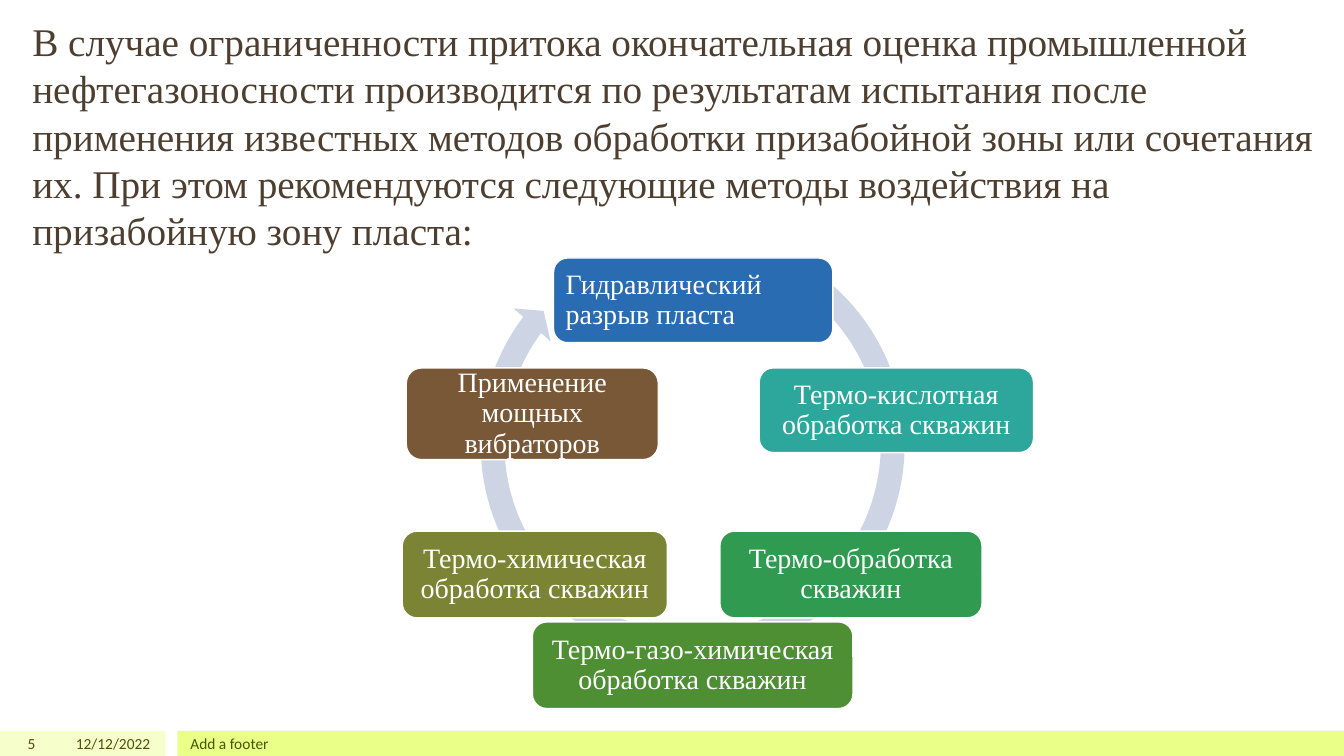
from pptx import Presentation
from pptx.dml.color import RGBColor
from pptx.enum.shapes import MSO_SHAPE as Shape
from pptx.enum.text import MSO_ANCHOR as Anchor, MSO_AUTO_SIZE as AutoSize, PP_ALIGN as Align
from pptx.util import Inches, Pt

COLORS = {
    "title": "4D3E2F", "footer_text": "455500", "white": "FFFFFF",
    "footer_light": "F6FFCC", "footer_bright": "E9FF88", "ring": "CDD4E4",
    "blue": "2A6CB2", "teal": "2DA69B", "green": "309A51",
    "leaf": "4E8F33", "olive": "7B8435", "brown": "795837",
}
SERIF, SANS = "Times New Roman", "Calibri"

TITLE = (
    "В случае ограниченности притока окончательная оценка промышленной "
    "нефтегазоносности производится по результатам испытания после применения "
    "известных методов обработки призабойной зоны или сочетания их. При этом "
    "рекомендуются следующие методы воздействия на призабойную зону пласта:"
)

# Text, colour, alignment, box relative to the cycle's corner
METHODS = [
    ("Гидравлический разрыв пласта", "blue", Align.LEFT, (1.5, 0.38, 2.77, 0.84)),
    ("Термо-кислотная обработка скважин", "teal", Align.CENTER, (3.54, 1.47, 2.72, 0.84)),
    ("Термо-обработка скважин", "green", Align.CENTER, (3.15, 3.09, 2.6, 0.86)),
    ("Термо-газо-химическая обработка скважин", "leaf", Align.CENTER, (1.29, 3.99, 3.18, 0.86)),
    ("Термо-химическая обработка скважин", "olive", Align.CENTER, (0, 3.09, 2.63, 0.86)),
    ("Применение мощных вибраторов", "brown", Align.CENTER, (0.04, 1.47, 2.5, 0.91)),
]


def rgb(name):
    return RGBColor.from_string(COLORS[name])


def write(shape, text, size, color, font=SERIF, align=Align.LEFT,
          anchor=Anchor.MIDDLE, spacing=1.0, inset=None):
    frame = shape.text_frame
    frame.word_wrap = True
    frame.auto_size = AutoSize.NONE
    frame.vertical_anchor = anchor
    if inset is not None:
        frame.margin_left = frame.margin_right = Inches(inset)
        frame.margin_top = frame.margin_bottom = Inches(inset)
    paragraph = frame.paragraphs[0]
    paragraph.alignment = align
    paragraph.line_spacing = spacing
    run = paragraph.add_run()
    run.text = text
    run.font.size = Pt(size)
    run.font.name = font
    run.font.color.rgb = rgb(color)


def add_block(slide, kind, box, fill, outline=None):
    block = slide.shapes.add_shape(kind, *map(Inches, box))
    block.shadow.inherit = False
    block.fill.solid()
    block.fill.fore_color.rgb = rgb(fill)
    if outline:
        block.line.color.rgb = rgb(outline)
        block.line.width = Pt(1)
    else:
        block.line.fill.background()
    return block


def fill_title(slide, left, top, width, height):
    title = slide.shapes.title
    title.left, title.top = Inches(left), Inches(top)
    title.width, title.height = Inches(width), Inches(height)
    write(title, TITLE, 28, "title", anchor=Anchor.BOTTOM)


def add_footer(slide, left, top, width, height):
    # Bands
    bright_left = 1.76
    add_block(slide, Shape.RECTANGLE, (left, top, 1.64, height), "footer_light")
    add_block(slide, Shape.RECTANGLE,
              (left + bright_left, top, width - bright_left, height), "footer_bright")
    # Slide number, date and footer
    for text, offset, text_width, align in [
        ("5", 0, 0.45, Align.RIGHT),
        ("12/12/2022", 0.5, 1.09, Align.RIGHT),
        ("Add a footer", 1.79, 10, Align.LEFT),
    ]:
        label = slide.shapes.add_textbox(
            *map(Inches, (left + offset, top, text_width, height)))
        write(label, text, 11, "footer_text", font=SANS, align=align)


def add_cycle(slide, left, top):
    # Ring with arrowhead
    ring = add_block(slide, Shape.CIRCULAR_ARROW,
                     (left + 0.65, top, 4.46, 4.46), "ring")
    for index, value in enumerate((0.053, 3.126, 130.007, 178.9, 0.055)):
        ring.adjustments[index] = value
    # Methods around the ring
    for text, color, align, (x, y, width, height) in METHODS:
        method = add_block(slide, Shape.ROUNDED_RECTANGLE,
                           (left + x, top + y, width, height), color, outline="white")
        write(method, text, 20, "white", align=align, spacing=0.9, inset=0.08)


def main():
    deck = Presentation()
    deck.slide_width, deck.slide_height = Inches(13.33), Inches(7.5)
    slide = deck.slides.add_slide(deck.slide_layouts.get_by_name("Title Only"))
    fill_title(slide, 0.22, -0.01, 13.11, 2.57)
    add_footer(slide, 0, 7.25, 13.33, 0.25)
    add_cycle(slide, 3.99, 2.18)
    deck.save("out.pptx")


if __name__ == "__main__":
    main()
